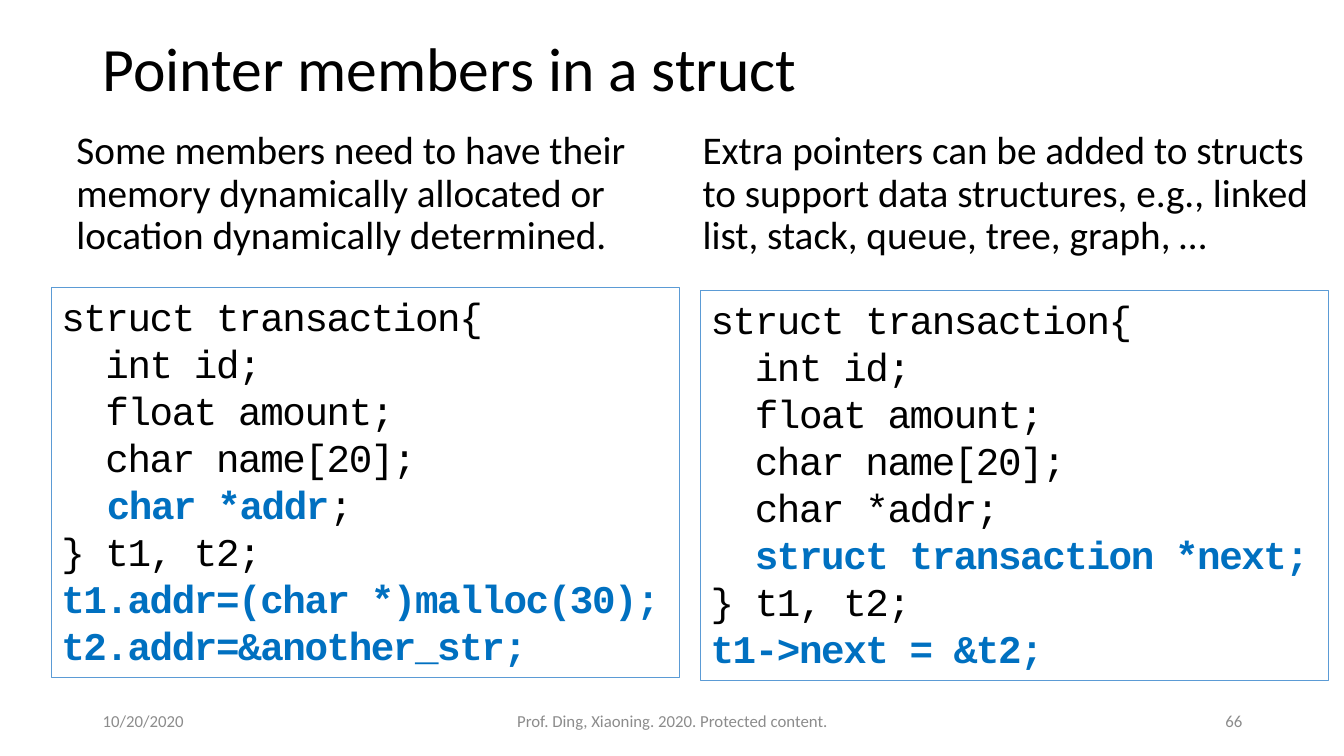
from dataclasses import dataclass

from pptx import Presentation
from pptx.dml.color import RGBColor
from pptx.enum.shapes import MSO_SHAPE as Shape
from pptx.enum.text import MSO_ANCHOR as Anchor, PP_ALIGN as Align
from pptx.util import Emu, Pt

EMU_PER_PX = 9144  # 100 px to the inch
BLACK, GRAY, BLUE, BORDER = "000000", "8C8C8C", "0070C0", "5B9BD5"


@dataclass(frozen=True)
class Area:
    left: int
    top: int
    width: int
    height: int


@dataclass(frozen=True)
class Span:
    text: str
    strong: bool = False


@dataclass(frozen=True)
class Label:
    text: str
    area: Area
    size: int
    color: str = BLACK
    anchor: Anchor = Anchor.TOP
    align: Align = Align.LEFT
    line_spacing: float = 1.0


@dataclass(frozen=True)
class Listing:
    area: Area
    lines: tuple[tuple[Span, ...], ...]


def px(value: int) -> Emu:
    return Emu(value * EMU_PER_PX)


def bounds(area: Area) -> tuple[Emu, ...]:
    return px(area.left), px(area.top), px(area.width), px(area.height)


def color_of(code: str) -> RGBColor:
    return RGBColor.from_string(code)


def write(para, text: str, *, size: int, font: str = "Calibri", color: str = BLACK,
          bold: bool = False, tracking: int = 0) -> None:
    """Add one run; tracking is in hundredths of a point."""
    span = para.add_run()
    span.text = text
    span.font.name = font
    span.font.size = Pt(size)
    span.font.bold = bold
    span.font.color.rgb = color_of(color)
    if tracking:
        span.font._element.set("spc", str(tracking))


def draw_label(page, label: Label) -> None:
    frame = page.shapes.add_textbox(*bounds(label.area)).text_frame
    frame.word_wrap = True
    frame.vertical_anchor = label.anchor
    para = frame.paragraphs[0]
    para.alignment = label.align
    para.line_spacing = label.line_spacing
    write(para, label.text, size=label.size, color=label.color)


def draw_listing(page, listing: Listing) -> None:
    box = page.shapes.add_shape(Shape.RECTANGLE, *bounds(listing.area))
    box.shadow.inherit = False
    box.fill.background()
    box.line.color.rgb = color_of(BORDER)
    box.line.width = Pt(0.75)
    frame = box.text_frame
    frame.word_wrap = True
    frame.vertical_anchor = Anchor.TOP
    for index, line in enumerate(listing.lines):
        para = frame.add_paragraph() if index else frame.paragraphs[0]
        para.alignment = Align.LEFT
        for span in line:
            write(para, span.text, size=28, font="Courier New", bold=span.strong,
                  color=BLUE if span.strong else BLACK, tracking=-100)


# Title, introductions and footer
LABELS = (
    Label("Pointer members in a struct", Area(92, 21, 1150, 99), 44,
          anchor=Anchor.MIDDLE, line_spacing=0.9),
    Label("Some members need to have their memory dynamically allocated or "
          "location dynamically determined.", Area(66, 125, 593, 147), 28, line_spacing=0.9),
    Label("Extra pointers can be added to structs to support data structures, "
          "e.g., linked list, stack, queue, tree, graph, …",
          Area(687, 125, 635, 155), 28, line_spacing=0.9),
    Label("10/20/2020", Area(92, 695, 300, 40), 12, GRAY, Anchor.MIDDLE),
    Label("Prof. Ding, Xiaoning. 2020. Protected content.", Area(442, 695, 450, 40), 12,
          GRAY, Anchor.MIDDLE, Align.CENTER),
    Label("66", Area(942, 695, 300, 40), 12, GRAY, Anchor.MIDDLE, Align.RIGHT),
)

# Code listings, with the added lines emphasised
SHARED_LINES = tuple((Span(text),) for text in (
    "struct transaction{", "  int id;", "  float amount;", "  char name[20];"))
CLOSING_LINE = (Span("} t1, t2;"),)
LISTINGS = (
    Listing(Area(51, 285, 623, 387), SHARED_LINES + (
        (Span("  "), Span("char *addr", True), Span(";")),
        CLOSING_LINE,
        (Span("t1.addr=(char *)malloc(30);", True),),
        (Span("t2.addr=&another_str;", True),))),
    Listing(Area(695, 288, 623, 387), SHARED_LINES + (
        (Span("  char *addr;"),),
        (Span("  struct transaction *next;", True),),
        CLOSING_LINE,
        (Span("t1->next = &t2;", True),))),
)


def main() -> None:
    deck = Presentation()
    deck.slide_width, deck.slide_height = px(1333), px(750)
    page = deck.slides.add_slide(deck.slide_layouts[6])
    for label in LABELS:
        draw_label(page, label)
    for listing in LISTINGS:
        draw_listing(page, listing)
    deck.save("out.pptx")


if __name__ == "__main__":
    main()
